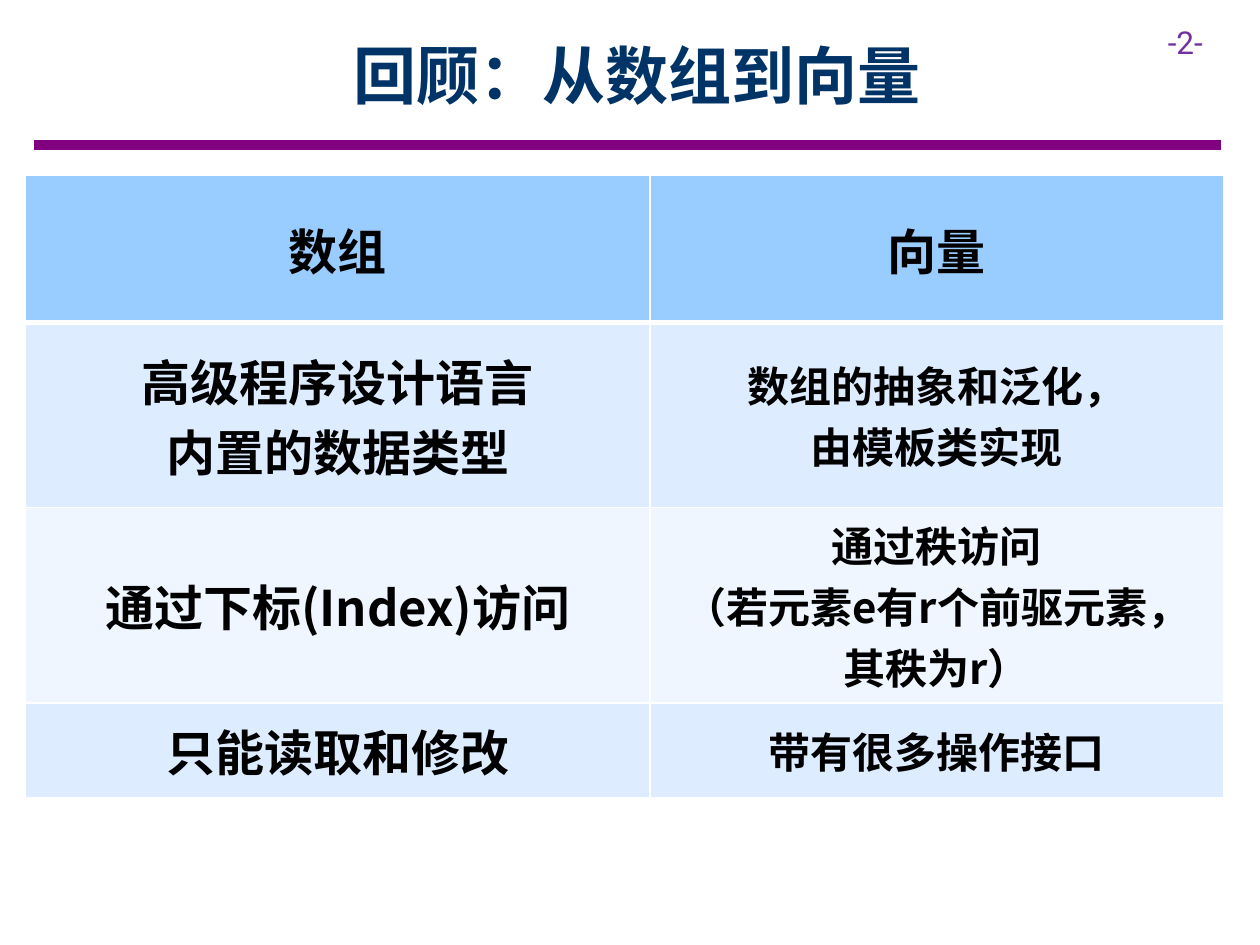
from dataclasses import dataclass

import pptx
import pptx.dml.color
import pptx.enum.lang
import pptx.enum.shapes
import pptx.enum.text
import pptx.oxml
import pptx.oxml.ns
import pptx.util

Inches = pptx.util.Inches
Align = pptx.enum.text.PP_ALIGN
Anchor = pptx.enum.text.MSO_ANCHOR


@dataclass(frozen=True)
class Theme:
    cjk_font: str = "Noto Sans CJK SC"
    number_font: str = "Roboto"
    title_color: str = "003366"
    number_color: str = "7030A0"
    rule_color: str = "800080"
    text_color: str = "000000"
    border_color: str = "FFFFFF"
    header_fill: str = "99CCFF"
    band_fills: tuple[str, str] = ("DEECFF", "EFF6FF")
    title_size: int = 36
    large_size: int = 28
    medium_size: int = 24
    number_size: int = 18
    rule_width: int = 6
    border_width: int = 1
    header_border_width: int = 3


@dataclass(frozen=True)
class TextStyle:
    font: str
    size: int
    color: str
    bold: bool = True
    align: Align = Align.CENTER


@dataclass(frozen=True)
class Row:
    height: float
    array: tuple[str, ...]
    vector: tuple[str, ...]


THEME = Theme()
COLUMN_WIDTHS = (4.96, 4.55)
ROWS = (
    Row(1.17, ("数组",), ("向量",)),
    Row(1.47, ("高级程序设计语言", "内置的数据类型"),
        ("数组的抽象和泛化，", "由模板类实现")),
    Row(1.55, ("通过下标(Index)访问",),
        ("通过秩访问", "（若元素e有r个前驱元素，", "其秩为r）")),
    Row(0.75, ("只能读取和修改",), ("带有很多操作接口",)),
)


def rgb(color: str) -> pptx.dml.color.RGBColor:
    return pptx.dml.color.RGBColor.from_string(color)


def write_lines(frame, lines: tuple[str, ...], style: TextStyle) -> None:
    for index, line in enumerate(lines):
        para = frame.paragraphs[0] if index == 0 else frame.add_paragraph()
        para.alignment = style.align
        span = para.add_run()
        span.text = line
        font_format = {
            "name": style.font,
            "size": pptx.util.Pt(style.size),
            "bold": style.bold,
            "language_id": pptx.enum.lang.MSO_LANGUAGE_ID.SIMPLIFIED_CHINESE,
        }
        for name, value in font_format.items():
            setattr(span.font, name, value)
        span.font.color.rgb = rgb(style.color)
        east_asian = pptx.oxml.parse_xml(
            f'<a:ea {pptx.oxml.ns.nsdecls("a")} typeface="{style.font}"/>')
        span.font._element.find(pptx.oxml.ns.qn("a:latin")).addnext(east_asian)


def add_text(page, box: tuple[float, ...], text: str, style: TextStyle,
             anchor: Anchor) -> None:
    frame = page.shapes.add_textbox(*map(Inches, box)).text_frame
    for name, value in {"word_wrap": True, "vertical_anchor": anchor}.items():
        setattr(frame, name, value)
    write_lines(frame, (text,), style)


def add_rule(page, left: float, right: float, top: float) -> None:
    rule = page.shapes.add_connector(
        pptx.enum.shapes.MSO_CONNECTOR.STRAIGHT,
        Inches(left), Inches(top), Inches(right), Inches(top))
    rule.line.color.rgb = rgb(THEME.rule_color)
    rule.line.width = pptx.util.Pt(THEME.rule_width)
    rule._element.spPr.append(
        pptx.oxml.parse_xml(f'<a:effectLst {pptx.oxml.ns.nsdecls("a")}/>'))


def set_borders(cell, widths: dict[str, int]) -> None:
    """Draw the cell's sides; call before filling, as borders come first."""
    properties = cell._tc.get_or_add_tcPr()
    for side, points in widths.items():
        properties.append(pptx.oxml.parse_xml(
            f'<a:ln{side} {pptx.oxml.ns.nsdecls("a")} w="{pptx.util.Pt(points)}">'
            f'<a:solidFill><a:srgbClr val="{THEME.border_color}"/></a:solidFill>'
            f'</a:ln{side}>'))


def add_comparison(page, left: float, top: float) -> None:
    table = page.shapes.add_table(
        len(ROWS), len(COLUMN_WIDTHS), Inches(left), Inches(top),
        Inches(sum(COLUMN_WIDTHS)), Inches(sum(row.height for row in ROWS))).table
    table.first_row = table.horz_banding = False
    for column, width in zip(table.columns, COLUMN_WIDTHS):
        column.width = Inches(width)
    for row_index, row in enumerate(ROWS):
        table.rows[row_index].height = Inches(row.height)
        is_header = row_index == 0
        fill = THEME.header_fill if is_header else THEME.band_fills[(row_index - 1) % 2]
        widths = dict.fromkeys("LRTB", THEME.border_width)
        if row_index < 2:
            widths["B" if is_header else "T"] = THEME.header_border_width
        for column_index, lines in enumerate((row.array, row.vector)):
            cell = table.cell(row_index, column_index)
            set_borders(cell, widths)
            cell.fill.solid()
            cell.fill.fore_color.rgb = rgb(fill)
            cell.vertical_anchor = Anchor.MIDDLE
            is_large = is_header or column_index == 0
            size = THEME.large_size if is_large else THEME.medium_size
            write_lines(cell.text_frame, lines,
                        TextStyle(THEME.cjk_font, size, THEME.text_color))


def main() -> None:
    deck = pptx.Presentation()
    deck.slide_width, deck.slide_height = Inches(10), Inches(7.5)
    page = deck.slides.add_slide(deck.slide_layouts[6])
    add_rule(page, 0.27, 9.69, 1.15)
    add_text(page, (9.17, 0.13, 0.83, 0.4), "-2-",
             TextStyle(THEME.number_font, THEME.number_size, THEME.number_color,
                       bold=False, align=Align.LEFT), Anchor.TOP)
    add_text(page, (0.9, 0.09, 8.31, 1), "回顾：从数组到向量",
             TextStyle(THEME.cjk_font, THEME.title_size, THEME.title_color),
             Anchor.MIDDLE)
    add_comparison(page, 0.2, 1.39)
    deck.save("out.pptx")


if __name__ == "__main__":
    main()
